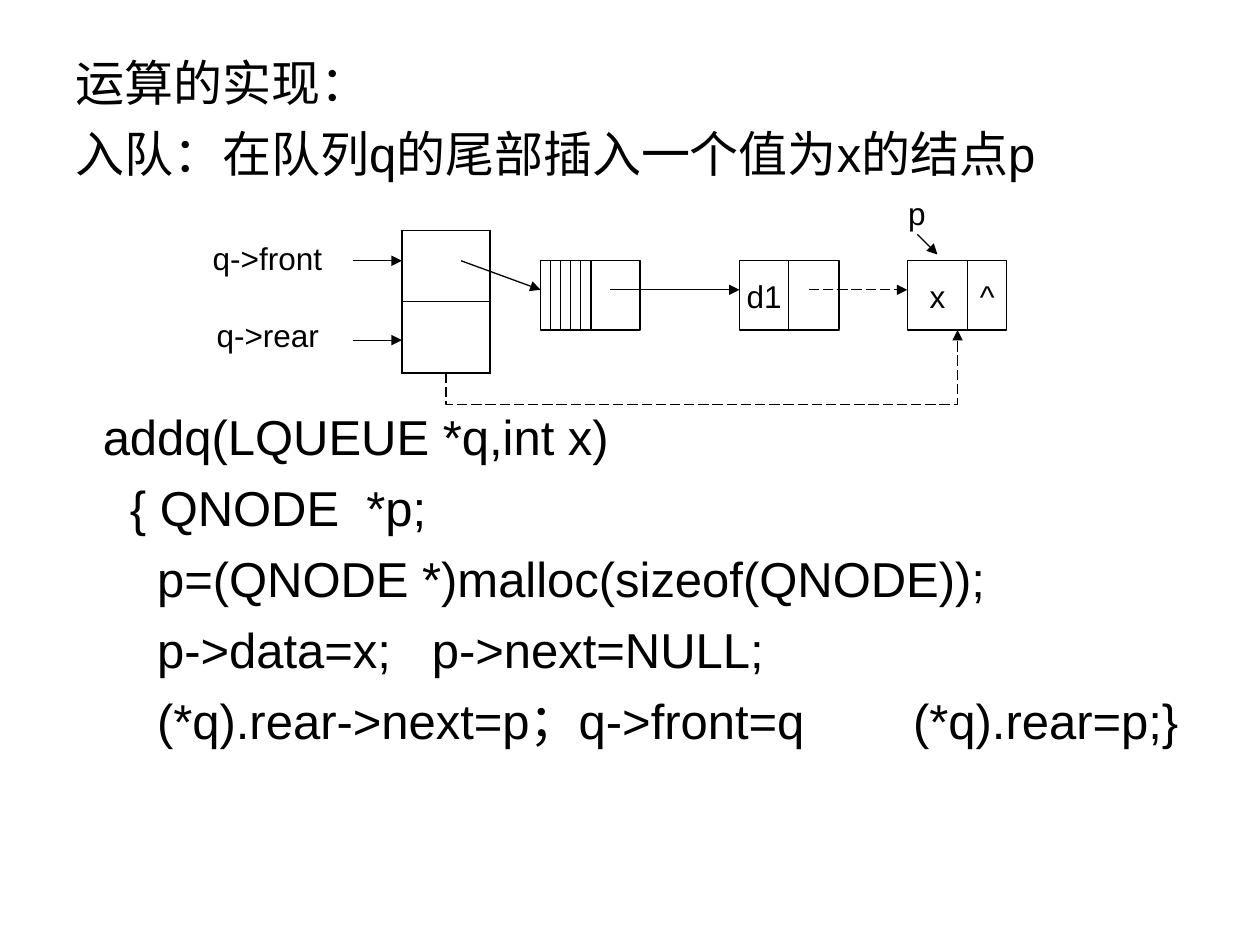
from dataclasses import dataclass

from lxml.etree import SubElement
from pptx import Presentation
from pptx.dml.color import RGBColor
from pptx.enum.dml import MSO_LINE as Dash
from pptx.enum.shapes import MSO_CONNECTOR as Link, MSO_SHAPE as Shape
from pptx.enum.text import MSO_ANCHOR as Anchor, PP_ALIGN as Align
from pptx.oxml import parse_xml
from pptx.oxml.ns import nsdecls, qn
from pptx.util import Inches, Pt


@dataclass(frozen=True)
class Theme:
    ink: RGBColor = RGBColor(0, 0, 0)
    font: str = "Arial"
    body: float = 28
    label: float = 18
    pitch: float = 40.5
    line: float = 0.75


THEME = Theme()
HEAD = ["运算的实现：", "入队：在队列q的尾部插入一个值为x的结点p"]
CODE = [
    "  addq(LQUEUE *q,int x)",
    "    { QNODE  *p;",
    "      p=(QNODE *)malloc(sizeof(QNODE));",
    "      p->data=x;   p->next=NULL;",
    "      (*q).rear->next=p；q->front=q        (*q).rear=p;}",
]
NODE_W, NODE_H = 0.79, 0.55


def write(para, text, size=THEME.label, align=Align.LEFT, pitch=None, before=0):
    para.text = text
    para.alignment = align
    para.space_before = Pt(before)
    if pitch:
        para.line_spacing = Pt(pitch)
    font = para.font
    font.name, font.size, font.bold = THEME.font, Pt(size), False
    font.color.rgb = THEME.ink


def label(slide, text, x, y, w, h, inset=0.1, **style):
    box = slide.shapes.add_textbox(Inches(x), Inches(y), Inches(w), Inches(h))
    frame = box.text_frame
    frame.word_wrap = False
    frame.vertical_anchor = Anchor.MIDDLE
    frame.margin_left = frame.margin_right = Inches(inset)
    write(frame.paragraphs[0], text, **style)


def line(slide, start, end, arrow=False, dashed=False, kind=Link.STRAIGHT):
    link = slide.shapes.add_connector(kind, *map(Inches, (*start, *end)))
    link.line.color.rgb = THEME.ink
    link.line.width = Pt(THEME.line)
    if dashed:
        link.line.dash_style = Dash.LONG_DASH
    if arrow:
        SubElement(link.line._get_or_add_ln(), qn("a:tailEnd"), type="triangle")
    SubElement(link._element.spPr, qn("a:effectLst"))
    return link


def elbow(slide, start, end, drop):
    """Dashed arrow that leaves start downwards, runs across and rises to end."""
    (x1, y1), (x2, y2) = start, end
    mid_x, mid_y = (x1 + x2) / 2, (y1 + y2) / 2
    run, rise = (x2 - x1) / 2, (y1 - y2) / 2
    link = line(slide, (mid_x + rise, mid_y + run), (mid_x - rise, mid_y - run),
                arrow=True, dashed=True, kind=Link.ELBOW)
    link._element.spPr.find(qn("a:xfrm")).set("rot", "5400000")
    guides = link._element.spPr.find(qn("a:prstGeom")).get_or_add_avLst()
    bend = round(-drop / (y1 - y2) * 100000)
    SubElement(guides, qn("a:gd"), name="adj1", fmla=f"val {bend}")


def node(slide, x, y, splits, texts=()):
    """Box cut by vertical lines at the given offsets, one text per cell."""
    box = slide.shapes.add_shape(Shape.RECTANGLE, *map(Inches, (x, y, NODE_W, NODE_H)))
    box.shadow.inherit = False
    box.fill.background()
    box.line.color.rgb = THEME.ink
    box.line.width = Pt(THEME.line)
    for cut in splits:
        line(slide, (x + cut, y), (x + cut, y + NODE_H))
    edges = [0, *splits, NODE_W]
    for text, left, right in zip(texts, edges, edges[1:]):
        label(slide, text, x + left, y, right - left, NODE_H,
              inset=0, align=Align.CENTER)


def border(cell, **widths):
    cell.fill.background()
    props = cell._tc.get_or_add_tcPr()
    for spot, side in enumerate("LRTB"):
        props.insert(spot, parse_xml(
            f'<a:ln{side} {nsdecls("a")} w="{Pt(widths.get(side, 1.08))}"><a:solidFill>'
            f'<a:srgbClr val="{THEME.ink}"/></a:solidFill></a:ln{side}>'))


def queue(slide, x, y, w, h):
    """Two-row table that holds the front and rear pointers."""
    table = slide.shapes.add_table(2, 1, *map(Inches, (x, y, w, h))).table
    table.first_row = table.horz_banding = False
    border(table.cell(0, 0), B=0.45)
    border(table.cell(1, 0), T=0.45)


def body(slide, x, y, w, h):
    box = slide.placeholders[1]
    box.left, box.top, box.width, box.height = map(Inches, (x, y, w, h))
    frame = box.text_frame
    frame.word_wrap = True
    frame.vertical_anchor = Anchor.TOP
    frame.margin_top = frame.margin_right = 0
    for count, text in enumerate(HEAD + CODE):
        para = frame.add_paragraph() if count else frame.paragraphs[0]
        props = para._p.get_or_add_pPr()
        props.set("marL", "0")
        props.set("indent", "0")
        SubElement(props, qn("a:buNone"))
        gap = 3 * THEME.pitch if text == CODE[0] else 0
        write(para, text, size=THEME.body, pitch=THEME.pitch, before=gap)


def diagram(slide, x, y):
    """Linked queue, with the new node at its right end."""
    top = y + 0.58
    mid = top + 0.23
    first, last, new = x + 2.7, x + 4.28, x + 5.61
    store = x + 1.6

    node(slide, last, top, [0.39], ["d1"])
    node(slide, new, top, [0.48], ["x", "^"])
    node(slide, first, top, [0.08 * n for n in range(1, 6)])
    queue(slide, store, y + 0.34, 0.7, 1.13)

    line(slide, (last + 0.55, mid), (new, mid), arrow=True, dashed=True)
    line(slide, (first + 0.55, mid), (last, mid), arrow=True)
    line(slide, (store + 0.47, top), (first, mid), arrow=True)
    for tip in (top, top + 0.63):
        line(slide, (store - 0.39, tip), (store, tip), arrow=True)
    elbow(slide, (store + 0.35, y + 1.47), (new + 0.4, top + NODE_H), drop=0.25)

    label(slide, "q->front", x, y + 0.36, 1.07, 0.4)
    label(slide, "q->rear", x + 0.03, y + 0.97, 1.01, 0.4)
    label(slide, "p", new - 0.09, y, 0.34, 0.4)
    line(slide, (new + 0.08, y + 0.37), (new + 0.24, y + 0.53), arrow=True)


def main():
    deck = Presentation()
    deck.slide_width, deck.slide_height = Inches(10), Inches(7.5)
    slide = deck.slides.add_slide(deck.slide_layouts[1])
    title = slide.shapes.title._element
    title.getparent().remove(title)
    body(slide, 0.5, 0.32, 9.15, 6.34)
    diagram(slide, 1.59, 1.49)
    deck.save("out.pptx")


if __name__ == "__main__":
    main()
